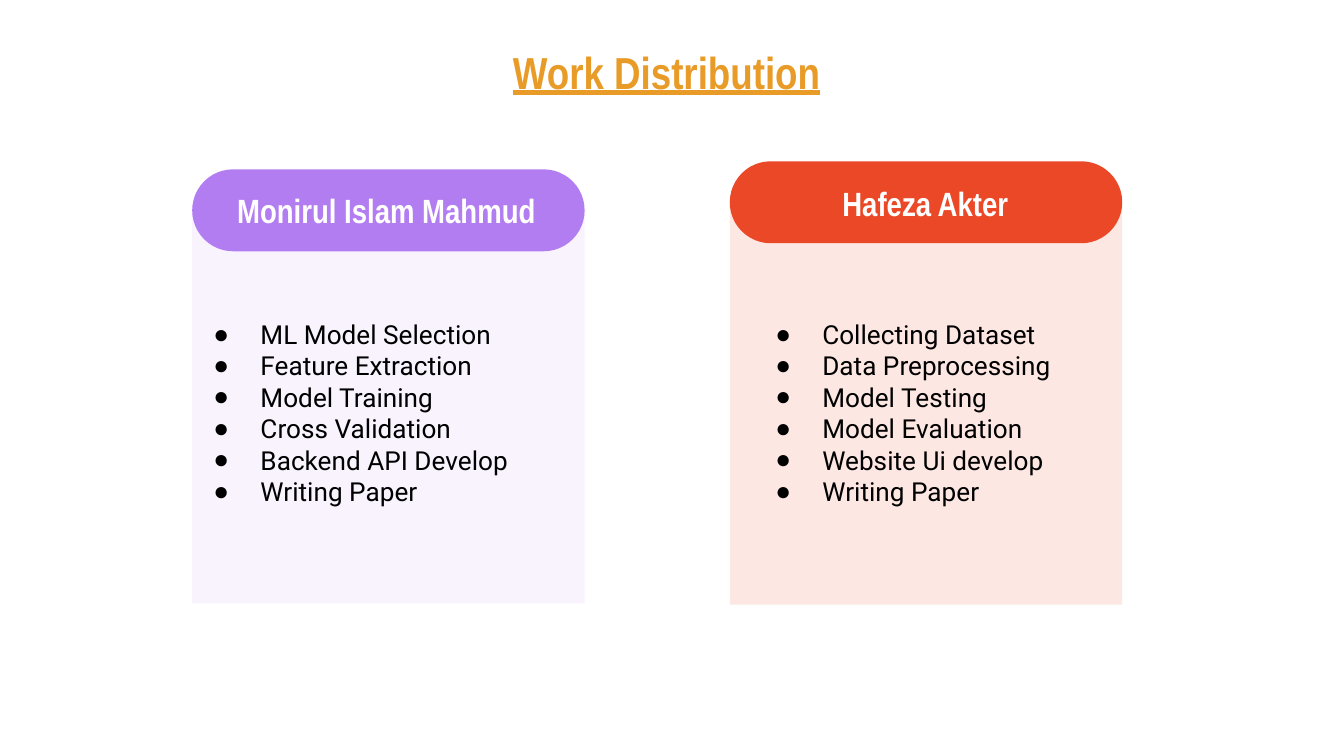
from dataclasses import dataclass

from lxml import etree
from pptx import Presentation
from pptx.dml.color import RGBColor
from pptx.enum import shapes, text
from pptx.oxml.ns import qn
from pptx.util import Inches, Pt

WHITE = RGBColor(0xFF, 0xFF, 0xFF)
BLACK = RGBColor(0, 0, 0)
GOLD = RGBColor(0xE9, 0x9B, 0x27)
PURPLE = RGBColor(0xB3, 0x7D, 0xF2)
LILAC = RGBColor(0xCC, 0xA9, 0xF7)
RED = RGBColor(0xEA, 0x48, 0x27)

TITLE = dict(name="Arial Narrow", size=Pt(24), bold=True, underline=True)
NAME = dict(name="Arial Narrow", size=Pt(18), bold=True)
TASK = dict(name="Roboto", size=Pt(14))
PANEL_ALPHA = 13

Box = tuple[float, float, float, float]


@dataclass
class Member:
    name: str
    tasks: list[str]
    color: RGBColor
    panel_color: RGBColor
    panel: Box
    header: Box
    name_box: Box
    task_box: Box


MEMBERS = [
    Member("Monirul Islam Mahmud",
           ["ML Model Selection", "Feature Extraction", "Model Training",
            "Cross Validation", "Backend API Develop", "Writing Paper"],
           PURPLE, LILAC, (1.43, 1.58, 2.92, 2.91), (1.43, 1.26, 2.92, 0.61),
           (1.65, 1.38, 2.45, 0.36), (1.49, 2.27, 2.73, 1.24)),
    Member("Hafeza Akter",
           ["Collecting Dataset", "Data Preprocessing", "Model Testing",
            "Model Evaluation", "Website Ui develop", "Writing Paper"],
           RED, RED, (5.43, 1.5, 2.92, 3), (5.43, 1.2, 2.92, 0.61),
           (5.66, 1.33, 2.45, 0.36), (5.67, 2.27, 2.45, 1.24)),
]


def inches(box: Box) -> list:
    return [Inches(v) for v in box]


def add_block(s, kind, box: Box, color: RGBColor):
    sp = s.shapes.add_shape(kind, *inches(box))
    sp.shadow.inherit = False
    sp.fill.solid()
    sp.fill.fore_color.rgb = color
    sp.line.fill.background()
    return sp


def set_alpha(sp, percent: int) -> None:
    clr = sp._element.spPr.find(qn("a:solidFill"))[0]
    etree.SubElement(clr, qn("a:alpha"), val=str(percent * 1000))


def add_bullet(p) -> None:
    pPr = p._p.get_or_add_pPr()
    pPr.set("marL", str(Inches(0.35)))
    pPr.set("indent", str(-Inches(0.35)))
    clr = etree.SubElement(pPr, qn("a:buClr"))
    etree.SubElement(clr, qn("a:srgbClr"), val=str(BLACK))
    etree.SubElement(pPr, qn("a:buFont"), typeface="Arial")
    etree.SubElement(pPr, qn("a:buChar"), char="●")


def write(sp, lines: list[str], style: dict, color: RGBColor,
          bullets: bool = False) -> None:
    tf = sp.text_frame
    frame = dict(word_wrap=True, auto_size=text.MSO_AUTO_SIZE.NONE,
                 vertical_anchor=text.MSO_ANCHOR.TOP if bullets else text.MSO_ANCHOR.MIDDLE)
    frame |= {f"margin_{side}": Inches(0.1) for side in ("left", "top", "right", "bottom")}
    for key, value in frame.items():
        setattr(tf, key, value)
    for i, line in enumerate(lines):
        p = tf.add_paragraph() if i else tf.paragraphs[0]
        p.alignment = text.PP_ALIGN.LEFT if bullets else text.PP_ALIGN.CENTER
        if bullets:
            add_bullet(p)
        r = p.add_run()
        r.text = line
        for key, value in style.items():
            setattr(r.font, key, value)
        r.font.color.rgb = color


def main() -> None:
    # Widescreen page, 16:9
    prs = Presentation()
    prs.slide_width = Inches(10)
    prs.slide_height = Inches(10 * 9 / 16)
    s = prs.slides.add_slide(prs.slide_layouts[5])

    # Title
    title = s.shapes.title
    title.left, title.top, title.width, title.height = inches((0.46, 0.33, 9, 0.41))
    write(title, ["Work Distribution"], TITLE, GOLD)

    # One card per member: tinted panel, rounded header, name and tasks
    for m in MEMBERS:
        panel = add_block(s, shapes.MSO_SHAPE.RECTANGLE, m.panel, m.panel_color)
        set_alpha(panel, PANEL_ALPHA)
        header = add_block(s, shapes.MSO_SHAPE.ROUNDED_RECTANGLE, m.header, m.color)
        header.adjustments[0] = 0.5
        write(s.shapes.add_textbox(*inches(m.name_box)), [m.name], NAME, WHITE)
        write(s.shapes.add_textbox(*inches(m.task_box)), m.tasks, TASK, BLACK, bullets=True)

    prs.save("out.pptx")


if __name__ == "__main__":
    main()
